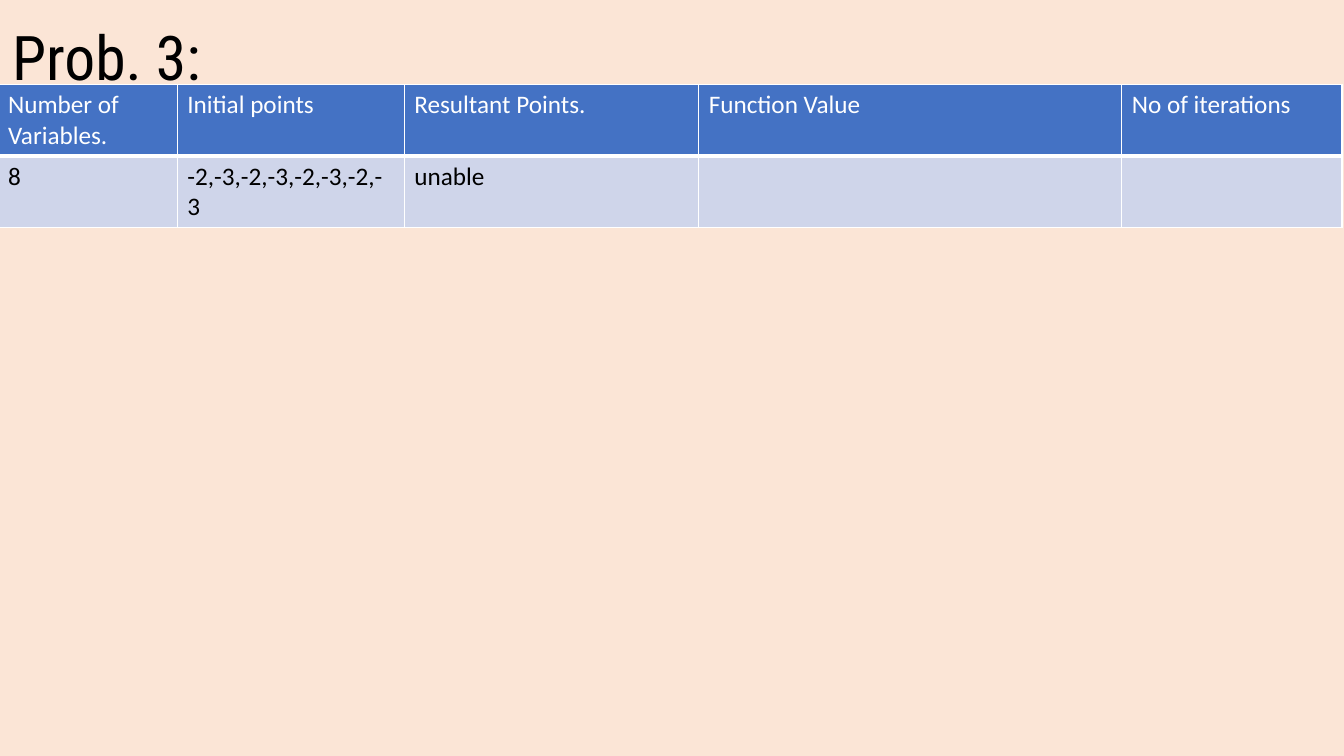
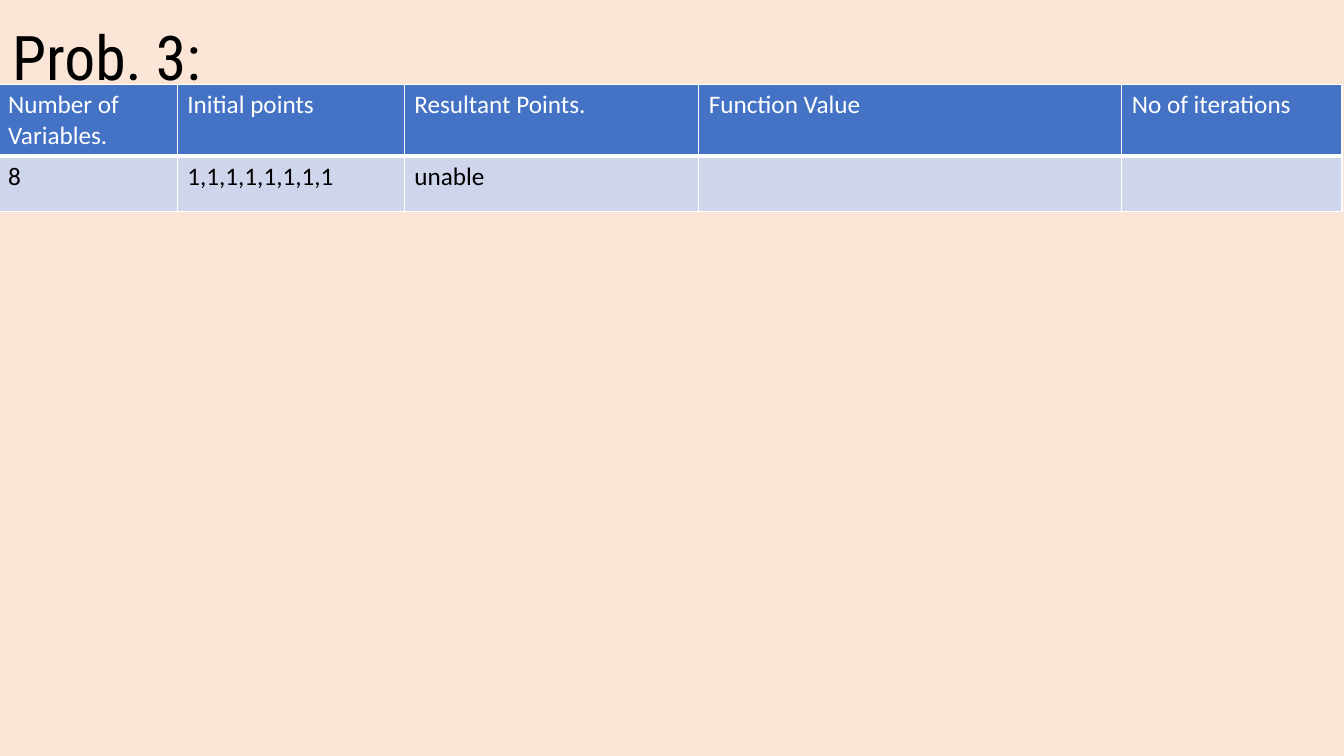
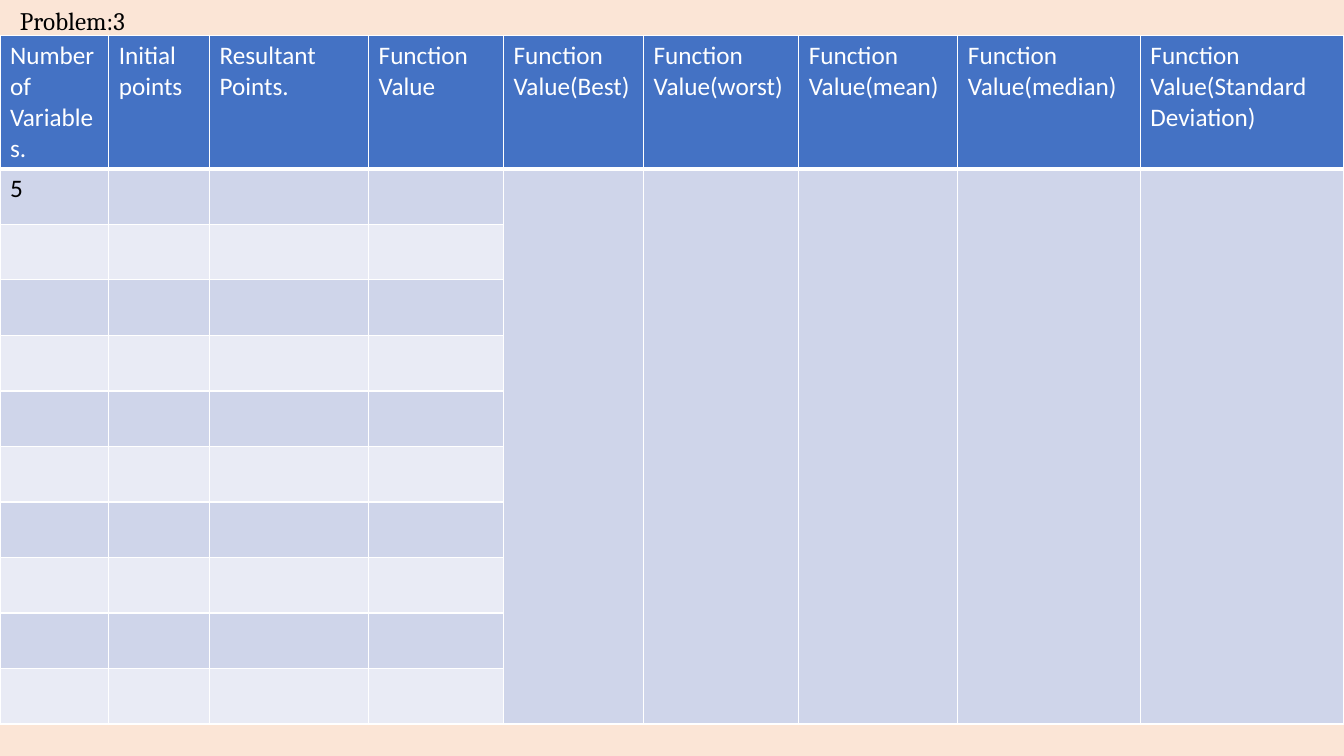
from lxml import etree
from pptx import Presentation
from pptx.dml.color import RGBColor
from pptx.enum.text import MSO_ANCHOR, MSO_AUTO_SIZE, PP_ALIGN
from pptx.oxml.ns import qn
from pptx.util import Cm, Pt

TOP, MIDDLE = MSO_ANCHOR.TOP, MSO_ANCHOR.MIDDLE
LEFT = PP_ALIGN.LEFT
NO_AUTOFIT = MSO_AUTO_SIZE.NONE

COLORS = {
    "background": "FBE5D6",
    "header": "4472C4",
    "band_dark": "CFD5EA",
    "band_light": "E9EBF5",
    "border": "FFFFFF",
    "header_text": "FFFFFF",
    "text": "000000",
}
BODY_FONT = "Calibri"
BODY_SIZE = 18
ROW_HEIGHT = 1.4
TITLE_ONLY_LAYOUT = 5

RESULT_TITLE = {"font": "Roboto Condensed", "size": 44, "anchor": MIDDLE, "spacing": 0.9}
SUMMARY_TITLE = {"font": "Cambria", "size": 18, "anchor": TOP, "spacing": 1.0}

RESULT_HEADERS = ["Number of Variables.", "Initial points", "Resultant Points.",
                  "Function Value", "No of iterations"]
RESULT_WIDTHS = [4.52, 5.72, 7.42, 10.66, 5.55]
RESULT_ROWS = [
    ["8", "-2,-3,-2,-3,-2,-3,-2,-3", "unable", "", ""],
    ["8", "1,1,1,1,1,1,1,1", "unable", "", ""],
]

STATISTICS = ["Best", "worst", "mean", "median", "Standard Deviation"]
SUMMARY_HEADERS = RESULT_HEADERS[:4] + [f"Function Value({name})" for name in STATISTICS]
SUMMARY_WIDTHS = [2.74, 2.54, 4.01, 3.4, 3.53, 3.91, 4.01, 4.6, 5.13]
SUMMARY_RUNS = 10


def color(name):
    return RGBColor.from_string(COLORS[name])


def add_run(paragraph, text, font, size, color_name):
    run = paragraph.add_run()
    run.text = text
    run.font.name = font
    run.font.size = Pt(size)
    run.font.bold = False
    run.font.color.rgb = color(color_name)


def set_borders(cell, bottom_width):
    properties = cell._tc.get_or_add_tcPr()
    widths = {"a:lnL": 1, "a:lnR": 1, "a:lnT": 1, "a:lnB": bottom_width}
    for position, (tag, width) in enumerate(widths.items()):
        line = etree.Element(qn(tag), w=str(Pt(width)))
        fill = etree.SubElement(line, qn("a:solidFill"))
        etree.SubElement(fill, qn("a:srgbClr"), val=COLORS["border"])
        properties.insert(position, line)


def format_cell(cell, text, row_index):
    is_header = row_index == 0
    band = "band_dark" if row_index % 2 else "band_light"
    cell.fill.solid()
    cell.fill.fore_color.rgb = color("header" if is_header else band)
    set_borders(cell, 3 if is_header else 1)
    if text:
        add_run(cell.text_frame.paragraphs[0], text, BODY_FONT, BODY_SIZE,
                "header_text" if is_header else "text")


def add_grid(slide, left, top, widths, rows):
    frame = slide.shapes.add_table(len(rows), len(widths), Cm(left), Cm(top),
                                   Cm(sum(widths)), Cm(ROW_HEIGHT * len(rows)))
    table = frame.table
    for column, width in zip(table.columns, widths):
        column.width = Cm(width)
    for row_index, texts in enumerate(rows):
        table.rows[row_index].height = Cm(ROW_HEIGHT)
        for column_index, text in enumerate(texts):
            format_cell(table.cell(row_index, column_index), text, row_index)
    return table


def add_titled_slide(presentation, text, box, style):
    slide = presentation.slides.add_slide(presentation.slide_layouts[TITLE_ONLY_LAYOUT])
    title = slide.shapes.title
    title.left, title.top, title.width, title.height = [Cm(length) for length in box]
    text_frame = title.text_frame
    text_frame.word_wrap = True
    text_frame.auto_size = NO_AUTOFIT
    text_frame.vertical_anchor = style["anchor"]
    paragraph = text_frame.paragraphs[0]
    paragraph.alignment = LEFT
    paragraph.line_spacing = style["spacing"]
    add_run(paragraph, text, style["font"], style["size"], "text")
    return slide


def add_result_slide(presentation, row):
    slide = add_titled_slide(presentation, "Prob. 3:", (0.05, 0.36, 31.12, 2.31), RESULT_TITLE)
    add_grid(slide, -0.05, 2.13, RESULT_WIDTHS, [RESULT_HEADERS, row])


def add_summary_slide(presentation):
    slide = add_titled_slide(presentation, "Problem:3", (0.25, 0, 7.65, 1.02), SUMMARY_TITLE)
    rows = [[""] * len(SUMMARY_HEADERS) for _ in range(SUMMARY_RUNS)]
    rows[0][0] = "5"
    table = add_grid(slide, 0, 0.9, SUMMARY_WIDTHS, [SUMMARY_HEADERS] + rows)
    for column_index in range(len(SUMMARY_HEADERS) - len(STATISTICS), len(SUMMARY_HEADERS)):
        table.cell(1, column_index).merge(table.cell(SUMMARY_RUNS, column_index))


def main():
    presentation = Presentation()
    presentation.slide_width = Cm(33.87)
    presentation.slide_height = Cm(19.05)
    background = presentation.slide_master.background.fill
    background.solid()
    background.fore_color.rgb = color("background")
    for row in RESULT_ROWS:
        add_result_slide(presentation, row)
    add_summary_slide(presentation)
    presentation.save("out.pptx")


if __name__ == "__main__":
    main()
